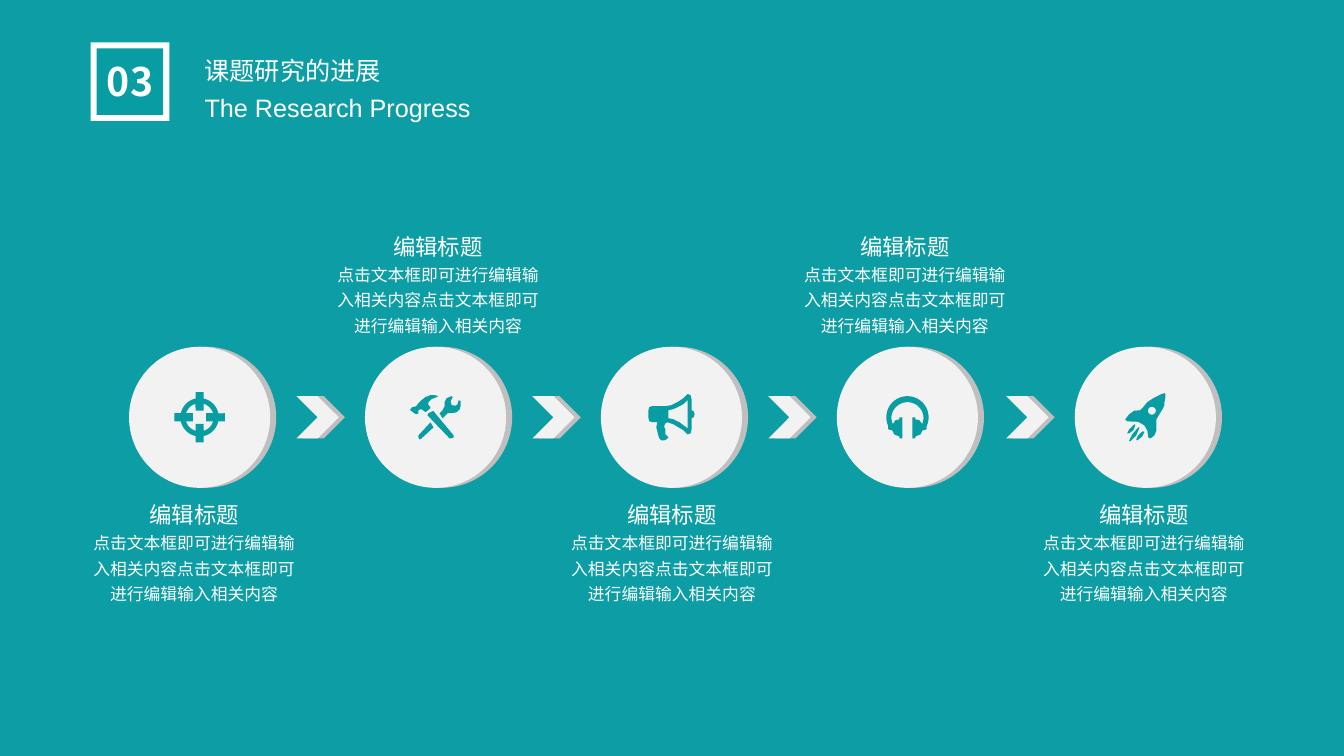
from dataclasses import dataclass
from math import cos, radians, sin

from lxml.etree import SubElement
from pptx import Presentation
from pptx.dml.color import RGBColor
from pptx.enum.shapes import MSO_SHAPE
from pptx.enum.text import MSO_AUTO_SIZE, PP_ALIGN
from pptx.oxml.ns import qn
from pptx.util import Inches, Pt


@dataclass(frozen=True)
class Theme:
    teal: str = "089DA3"
    white: str = "FFFFFF"
    light: str = "F2F2F2"
    shade: str = "BFBFBF"
    cjk: str = "Noto Sans CJK SC"
    latin: str = "Arial"
    number: int = 28
    head: int = 18
    label: int = 16
    body: int = 12


THEME = Theme()
LABEL = "编辑标题"
BODY = "点击文本框即可进行编辑输入相关内容" * 2
DISC = 1.4
MID = 4.14


# Icon outlines: hundredths of an inch from the disc centre
def arc(radius, start, end, x=0, y=0, count=12):
    turns = [radians(start + (end - start) * i / count) for i in range(count + 1)]
    return [(x + radius * cos(t), y + radius * sin(t)) for t in turns]


def spin(points):
    result = []
    for _ in range(4):
        result += points
        points = [(-y, x) for x, y in points]
    return result


def mirror(points):
    return points + [(-x, y) for x, y in reversed(points)]


TARGET = [
    spin([(25, -4), (25, 4), (19, 4)] + arc(19, 12, 78)),
    spin([(6.5, -4), (6.5, 4), (13.5, 4)] + arc(14, 17, 73)),
]
TOOLS = [
    [(-17, -7), (-15, -8), (-13, -7.5), (-10, -5), (-5, -9), (-5, -10), (-7, -12),
     (-7, -15), (-4, -18), (1, -20), (3, -21), (-1, -22), (-5, -22), (-10, -20),
     (-14, -17), (-17, -14), (-19, -11), (-23, -10), (-25, -8), (-25, -7),
     (-21, -4), (-19, -3), (-17, -4)],
    [(-2, -6), (-3, -6), (-7, -4), (-8, -2), (14, 21), (15, 21), (18, 20), (18, 18)],
    [(25, -16), (23, -17), (22, -13), (20, -11.5), (16, -12), (15, -16), (17, -20),
     (16, -21), (11, -19), (9, -15), (9, -11), (7, -7), (4, -4), (7, 1), (12, -4),
     (16, -4), (21, -5), (24, -8), (25, -12)],
    [(-17, 18), (-17, 20), (-16, 22), (-14, 21), (-2, 10), (-5, 5)],
]
HORN = [
    [(23, -3), (22, 0), (20, 1), (20, 12), (19, 16), (16, 17), (12, 13), (7, 10),
     (2, 7), (-4, 5), (-6, 6), (-7, 8), (-7, 10), (-6, 12), (-6, 17), (-5, 18),
     (-3, 20), (-5, 22), (-7, 23), (-10, 23), (-12, 21), (-13, 18), (-14, 14),
     (-15, 10), (-14, 5), (-19, 5), (-22, 4), (-23, 0), (-23, -6), (-22, -10),
     (-19, -11), (-6, -11), (0, -12), (6, -15), (12, -19), (16, -23), (19, -22),
     (20, -18), (20, -7), (22, -6)],
    [(16, -17), (12, -13), (8, -11), (2, -8), (-3, -7), (-3, 1), (2, 2), (8, 5),
     (12, 8), (16, 11)],
]
PHONES = [mirror(
    arc(21, -90, 25) + [
        (19, 12), (15, 13), (13, 17), (8, 19), (8, 21), (5, 21), (5, 0), (8, 0),
        (8, 2), (12, 3), (14, 6), (15, 6)] + arc(16, 0, -90, y=1))]
ROCKET = [
    [(-2, 14), (-1, 15), (-3, 19), (-8, 23), (-9, 22), (-7, 18), (-3, 14)],
    [(-6, 10), (-6, 11), (-9, 18), (-15, 24), (-16, 23), (-13, 17), (-7, 10)],
    [(-10, 7), (-10, 8), (-12, 13), (-16, 16), (-18, 16), (-16, 12), (-11, 7)],
    arc(4, 0, 345, x=6.5, y=-6.5),
    [(19, -24), (20, -23), (20, -20), (19, -15), (19, -12), (17, -8), (11, 2),
     (11, 5), (11, 13), (9, 18), (5, 21), (3, 20), (2, 13), (-1, 8), (-7, 4.5),
     (-18, 4), (-20, 2), (-16, -3), (-11, -6.5), (-5, -7), (-3, -9), (2, -15),
     (8, -19), (16, -23)],
]

# Disc left, caption left, caption top, icon
STEPS = [
    (1.28, 0.82, 4.92, TARGET),
    (3.62, 3.24, 2.26, TOOLS),
    (5.96, 5.56, 4.92, HORN),
    (8.3, 7.87, 2.26, PHONES),
    (10.66, 10.24, 4.92, ROCKET),
]


def paint(shape, color):
    shape.shadow.inherit = False
    shape.fill.solid()
    shape.fill.fore_color.rgb = RGBColor.from_string(color)
    shape.line.fill.background()


def block(slide, kind, x, y, size, color):
    shape = slide.shapes.add_shape(kind, *map(Inches, (x, y, size, size)))
    paint(shape, color)


def raised(slide, kind, x, y, size):
    block(slide, kind, x + 0.06, y, size, THEME.shade)
    block(slide, kind, x, y, size, THEME.light)


def icon(slide, x, y, paths):
    builder = None
    for path in paths:
        points = [(Inches(x + a / 100), Inches(y + b / 100)) for a, b in path]
        if builder is None:
            builder = slide.shapes.build_freeform(*points[0], scale=1.0)
        else:
            builder.move_to(*points[0])
        builder.add_line_segments(points[1:], close=True)
    paint(builder.convert_to_shape(), THEME.teal)


def write(slide, text, box, size, font=THEME.cjk, align=PP_ALIGN.LEFT,
          bold=False, wrap=True, space=1.0):
    frame = slide.shapes.add_textbox(*map(Inches, box)).text_frame
    frame.word_wrap = wrap
    frame.auto_size = MSO_AUTO_SIZE.SHAPE_TO_FIT_TEXT
    para = frame.paragraphs[0]
    para.alignment = align
    para.line_spacing = space
    run = para.add_run()
    run.text = text
    run.font.size = Pt(size)
    run.font.bold = bold
    run.font.color.rgb = RGBColor.from_string(THEME.white)
    run.font.name = font
    SubElement(run.font._element, qn("a:ea")).set("typeface", font)


def backdrop(slide):
    fill = slide.background.fill
    fill.solid()
    fill.fore_color.rgb = RGBColor.from_string(THEME.teal)
    color = slide.background._cSld.find(".//" + qn("a:srgbClr"))
    SubElement(color, qn("a:alpha")).set("val", "98000")


def header(slide):
    block(slide, MSO_SHAPE.RECTANGLE, 0.9, 0.42, 0.78, THEME.white)
    block(slide, MSO_SHAPE.RECTANGLE, 0.96, 0.48, 0.66, THEME.teal)
    write(slide, "03", (0.93, 0.52, 0.72, 0.57), THEME.number,
          align=PP_ALIGN.CENTER, bold=True)
    write(slide, "课题研究的进展", (1.93, 0.2, 1.97, 0.62), THEME.head,
          wrap=False, space=2.0)
    write(slide, "The Research Progress", (1.93, 0.87, 5.49, 0.4), THEME.head,
          font=THEME.latin)


def caption(slide, x, y):
    write(slide, BODY, (x, y + 0.27, 2.21, 0.86), THEME.body,
          align=PP_ALIGN.CENTER, space=1.25)
    write(slide, LABEL, (x + 0.52, y, 1.17, 0.37), THEME.label,
          align=PP_ALIGN.CENTER)


def main():
    deck = Presentation()
    deck.slide_width, deck.slide_height = Inches(13.33), Inches(7.5)
    slide = deck.slides.add_slide(deck.slide_layouts[6])
    backdrop(slide)
    header(slide)

    # Process row, with a chevron ahead of every disc but the first
    for index, (left, text_x, text_y, paths) in enumerate(STEPS):
        if index:
            raised(slide, MSO_SHAPE.CHEVRON, left - 0.68, 3.93, 0.42)
        raised(slide, MSO_SHAPE.OVAL, left, MID - DISC / 2, DISC)
        icon(slide, left + DISC / 2, MID, paths)
        caption(slide, text_x, text_y)
    deck.save("out.pptx")


if __name__ == "__main__":
    main()
